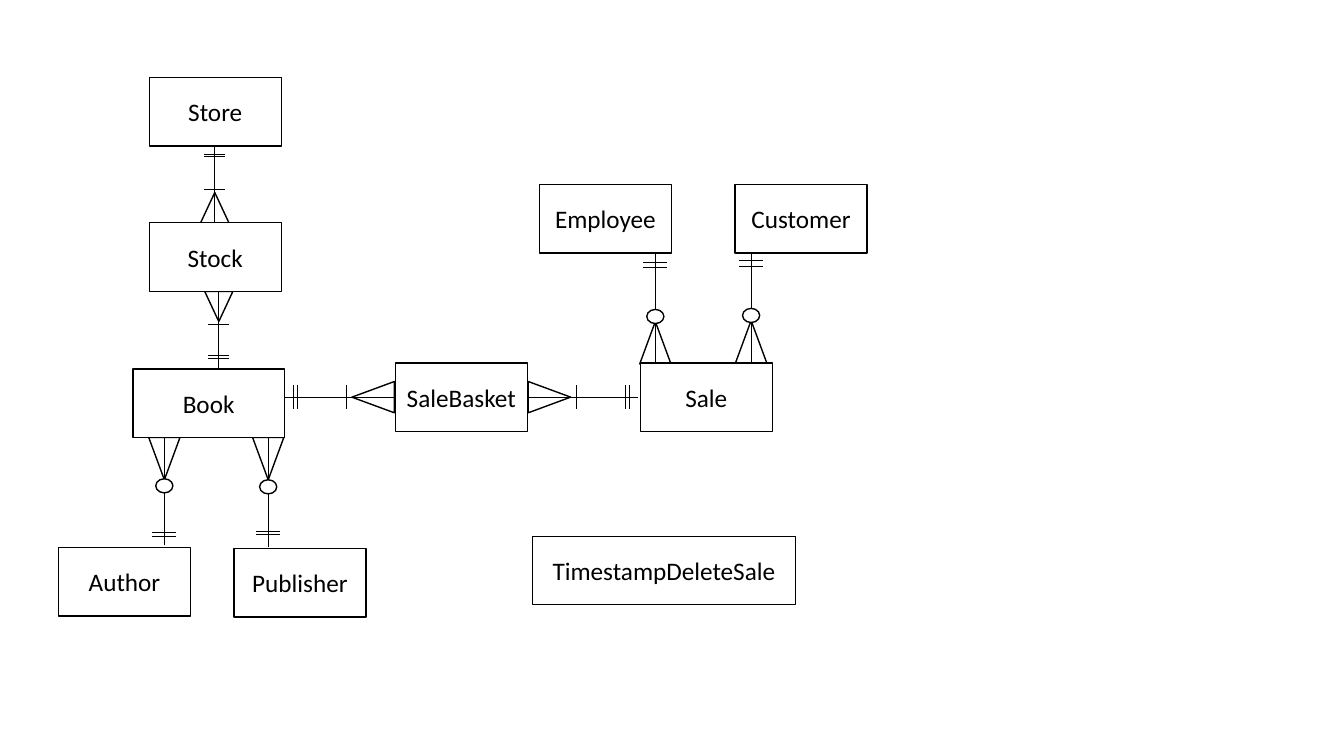
from lxml import etree
from pptx import Presentation
from pptx.dml.color import RGBColor
from pptx.enum import shapes, text
from pptx.oxml import ns
from pptx.util import Pt

PX = 9144  # 100 px to the inch
BLACK = RGBColor(0, 0, 0)
WHITE = RGBColor(255, 255, 255)
FONT = "Calibri"

# name, left, top, width
ENTITIES = [
    ("Store", 148, 77, 131),
    ("Stock", 148, 221, 131),
    ("SaleBasket", 392, 360, 131),
    ("Book", 132, 366, 150),
    ("Publisher", 232, 544, 131),
    ("Author", 58, 543, 131),
    ("Sale", 635, 360, 131),
    ("Employee", 535, 183, 131),
    ("Customer", 729, 183, 131),
    ("TimestampDeleteSale", 528, 532, 261),
]
ENTITY_HEIGHT = 68

SMALL = (28, 30, 21)  # foot width, foot length, tick length
LARGE = (31, 42, 24)

# vertical, place across, "one" end, "many" end, ticks, zero circle, sizes
RELATIONS = [
    (True, 213, 145, 221, (153, 155, 188), None, SMALL),   # Store - Stock
    (True, 217, 365, 289, (322, 353, 356), None, SMALL),   # Book - Stock
    (True, 650, 252, 361, (260, 265), 314, LARGE),         # Employee - Sale
    (True, 745, 251, 360, (258, 264), 313, LARGE),         # Customer - Sale
    (True, 163, 541, 434, (528, 532), 482, LARGE),         # Author - Book
    (True, 266, 543, 434, (527, 530), 483, LARGE),         # Publisher - Book
    (False, 394, 282, 391, (291, 295, 344), None, LARGE),  # Book - SaleBasket
    (False, 394, 633, 524, (572, 620, 624), None, LARGE),  # Sale - SaleBasket
]
CIRCLE = (17, 14)


def emu(*lengths):
    return [round(length * PX) for length in lengths]


def add_outlined(page, kind, left, top, width, height):
    shape = page.shapes.add_shape(kind, *emu(left, top, width, height))
    shape.shadow.inherit = False
    shape.fill.solid()
    shape.fill.fore_color.rgb = WHITE
    shape.line.color.rgb = BLACK
    shape.line.width = Pt(1)
    return shape


def add_centred(page, kind, centre, size):
    (x, y), (width, height) = centre, size
    return add_outlined(page, kind, x - width / 2, y - height / 2, width, height)


def add_line(page, start, end):
    line = page.shapes.add_connector(
        shapes.MSO_CONNECTOR.STRAIGHT, *emu(*start, *end))
    line.line.color.rgb = BLACK
    line.line.width = Pt(0.5)
    etree.SubElement(line._element.spPr, ns.qn("a:effectLst"))


def add_relation(page, vertical, across, one, many, ticks, circle, sizes):
    """Draw a crow's foot line from its "one" end to its "many" end."""
    def point(along, offset=0):
        side = across + offset
        return (side, along) if vertical else (along, side)

    foot_width, foot_length, tick_length = sizes
    direction = 1 if one > many else -1
    foot = add_centred(page, shapes.MSO_SHAPE.ISOSCELES_TRIANGLE,
                       point(many + direction * foot_length / 2),
                       (foot_width, foot_length))
    if vertical:
        foot.rotation = 180 if direction > 0 else 0
    else:
        foot.rotation = 90 if direction > 0 else 270
    add_line(page, point(one), point(many))
    for tick in ticks:
        add_line(page, point(tick, -tick_length / 2), point(tick, tick_length / 2))
    if circle is not None:
        add_centred(page, shapes.MSO_SHAPE.OVAL, point(circle), CIRCLE)


def add_entity(page, name, left, top, width):
    box = add_outlined(page, shapes.MSO_SHAPE.RECTANGLE,
                       left, top, width, ENTITY_HEIGHT)
    frame = box.text_frame
    frame.word_wrap = False
    frame.vertical_anchor = text.MSO_ANCHOR.MIDDLE
    para = frame.paragraphs[0]
    para.alignment = text.PP_ALIGN.CENTER
    span = para.add_run()
    span.text = name
    span.font.name = FONT
    span.font.size = Pt(18)
    span.font.color.rgb = BLACK


def main():
    deck = Presentation()
    deck.slide_width, deck.slide_height = emu(1333, 750)
    page = deck.slides.add_slide(deck.slide_layouts[6])
    for relation in RELATIONS:
        add_relation(page, *relation)
    for entity in ENTITIES:
        add_entity(page, *entity)
    deck.save("out.pptx")


if __name__ == "__main__":
    main()
